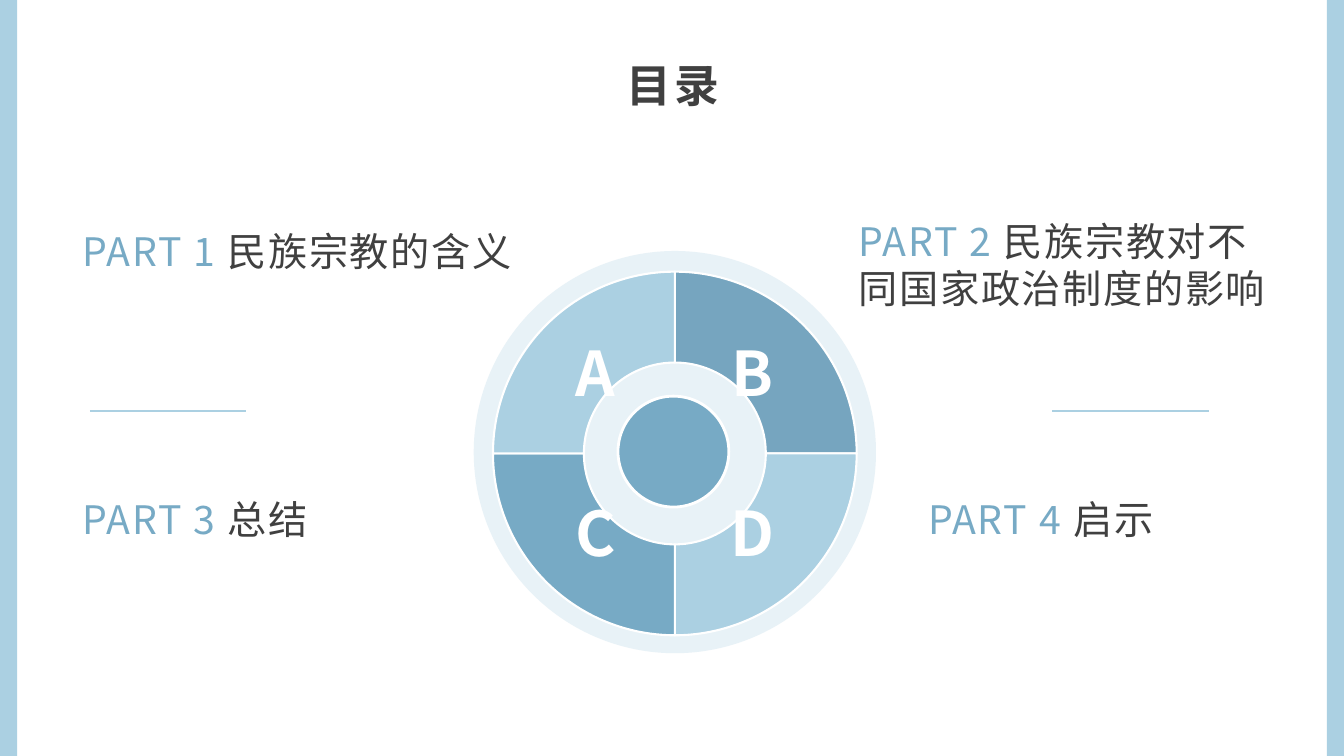
from lxml.etree import SubElement
from pptx import Presentation
from pptx.chart.data import CategoryChartData
from pptx.dml.color import RGBColor
from pptx.enum.chart import XL_CHART_TYPE
from pptx.enum.shapes import MSO_CONNECTOR, MSO_SHAPE
from pptx.enum.text import MSO_AUTO_SIZE, PP_ALIGN
from pptx.oxml import parse_xml
from pptx.oxml.ns import nsdecls, qn
from pptx.util import Inches, Pt

COLORS = {
    "pale": "ABD0E2",
    "blue": "77AAC5",
    "steel": "76A5BF",
    "dark": "404040",
    "white": "FFFFFF",
    "black": "000000",
}


def color(name):
    return RGBColor.from_string(COLORS[name])


class ContentsSlide:
    font = "Noto Sans CJK SC"
    chart_font = "Lato"

    def __init__(self, presentation):
        self.width = presentation.slide_width
        self.height = presentation.slide_height
        self.slide = presentation.slides.add_slide(presentation.slide_layouts[6])

    def box(self, left, top, width, height):
        return (
            int(self.width * left / 100),
            int(self.height * top / 100),
            int(self.width * width / 100),
            int(self.height * height / 100),
        )

    def shape(self, kind, place, fill, opacity=100, line=None):
        shape = self.slide.shapes.add_shape(kind, *self.box(*place))
        shape.shadow.inherit = False
        shape.fill.solid()
        shape.fill.fore_color.rgb = color(fill)
        if opacity < 100:
            fill_color = shape.fill._xPr.find(qn("a:solidFill"))[0]
            SubElement(fill_color, qn("a:alpha"), val=str(opacity * 1000))
        if line:
            shape.line.color.rgb = color(line)
            shape.line.width = Pt(2)
        else:
            shape.line.fill.background()

    def text(self, place, parts, size, bold=False, spacing=0, align=PP_ALIGN.LEFT):
        shape = self.slide.shapes.add_textbox(*self.box(*place))
        frame = shape.text_frame
        frame.word_wrap = True
        frame.auto_size = MSO_AUTO_SIZE.SHAPE_TO_FIT_TEXT
        paragraph = frame.paragraphs[0]
        paragraph.alignment = align
        for words, tone in parts:
            run = paragraph.add_run()
            run.text = words
            run.font.size = Pt(size)
            run.font.bold = bold
            run.font.name = self.font
            run.font.color.rgb = color(tone)
            properties = run.font._element
            SubElement(properties, qn("a:ea"), typeface=self.font)
            if spacing:
                properties.set("spc", str(int(spacing * 100)))

    def rule(self, left, top, length):
        x, y, width, _ = self.box(left, top, length, 0)
        connector = self.slide.shapes.add_connector(
            MSO_CONNECTOR.STRAIGHT, x, y, x + width, y
        )
        connector.line.color.rgb = color("pale")
        connector.line.width = Pt(1.75)
        SubElement(connector._element.spPr, qn("a:effectLst"))

    def doughnut(self, place, values, tones, hole, layout):
        data = CategoryChartData()
        data.categories = [str(number + 1) for number in range(len(values))]
        data.add_series("Series 1", values)
        chart = self.slide.shapes.add_chart(
            XL_CHART_TYPE.DOUGHNUT, *self.box(*place), data
        ).chart
        chart.has_legend = False
        chart.has_title = False
        chart.font.name = self.chart_font
        chart.font.size = Pt(10)
        chart.font.color.rgb = color("black")
        plot = chart.plots[0]
        plot.vary_by_categories = True
        plot.has_data_labels = False
        for index, tone in enumerate(tones):
            slice_format = plot.series[0].points[index].format
            slice_format.fill.solid()
            slice_format.fill.fore_color.rgb = color(tone)
            slice_format.line.color.rgb = color("white")
            slice_format.line.width = Pt(1.5)
        plot._element.find(qn("c:holeSize")).set("val", str(hole))
        area = plot._element.getparent()
        for previous in area.findall(qn("c:layout")):
            area.remove(previous)
        sides = "".join(
            f'<c:{side} val="{share}"/>' for side, share in zip("xywh", layout)
        )
        area.insert(0, parse_xml(
            f'<c:layout {nsdecls("c")}><c:manualLayout><c:layoutTarget val="inner"/>'
            f'<c:xMode val="edge"/><c:yMode val="edge"/>{sides}'
            "</c:manualLayout></c:layout>"
        ))


def main():
    presentation = Presentation()
    presentation.slide_width = Inches(13.33)
    presentation.slide_height = Inches(7.5)
    contents = ContentsSlide(presentation)

    contents.shape(MSO_SHAPE.OVAL, (35.25, 33.2, 29.93, 53.2), "pale", opacity=27)
    contents.doughnut(
        (28.35, 33.87, 43.73, 51.73), (25, 25, 25, 25),
        ("steel", "pale", "blue", "pale"), 28, (0.19, 0.04, 0.62, 0.93),
    )
    contents.text(
        (37.8, 6.93, 24.53, 8.53), [("目录", "dark")], 32,
        bold=True, spacing=2, align=PP_ALIGN.CENTER,
    )
    for index, letter in enumerate("ABCD"):
        row, column = divmod(index, 2)
        contents.text(
            (41.55 + 11.7 * column, 43.67 + 21.13 * row, 5.55, 11.2),
            [(letter, "white")], 44, bold=True, align=PP_ALIGN.CENTER,
        )
    contents.shape(MSO_SHAPE.OVAL, (45.98, 52.4, 8.25, 14.67), "blue", line="white")

    for left in (6.68, 78.3):
        contents.rule(left, 54.4, 11.62)
    for left in (0, 98.72):
        contents.shape(MSO_SHAPE.RECTANGLE, (left, 0, 1.28, 100), "pale")

    parts = [
        ((5.4, 29.47, 34.95, 7.6), "民族宗教的含义"),
        ((63.15, 28.13, 32.25, 13.87), "民族宗教对不同国家政治制度的影响"),
        ((5.4, 64.8, 34.95, 7.6), "总结"),
        ((68.33, 64.8, 34.95, 7.6), "启示"),
    ]
    for number, (place, topic) in enumerate(parts, 1):
        contents.text(
            place, [(f"PART {number} ", "blue"), (topic, "dark")], 28, spacing=1.2
        )

    presentation.save("out.pptx")


if __name__ == "__main__":
    main()
